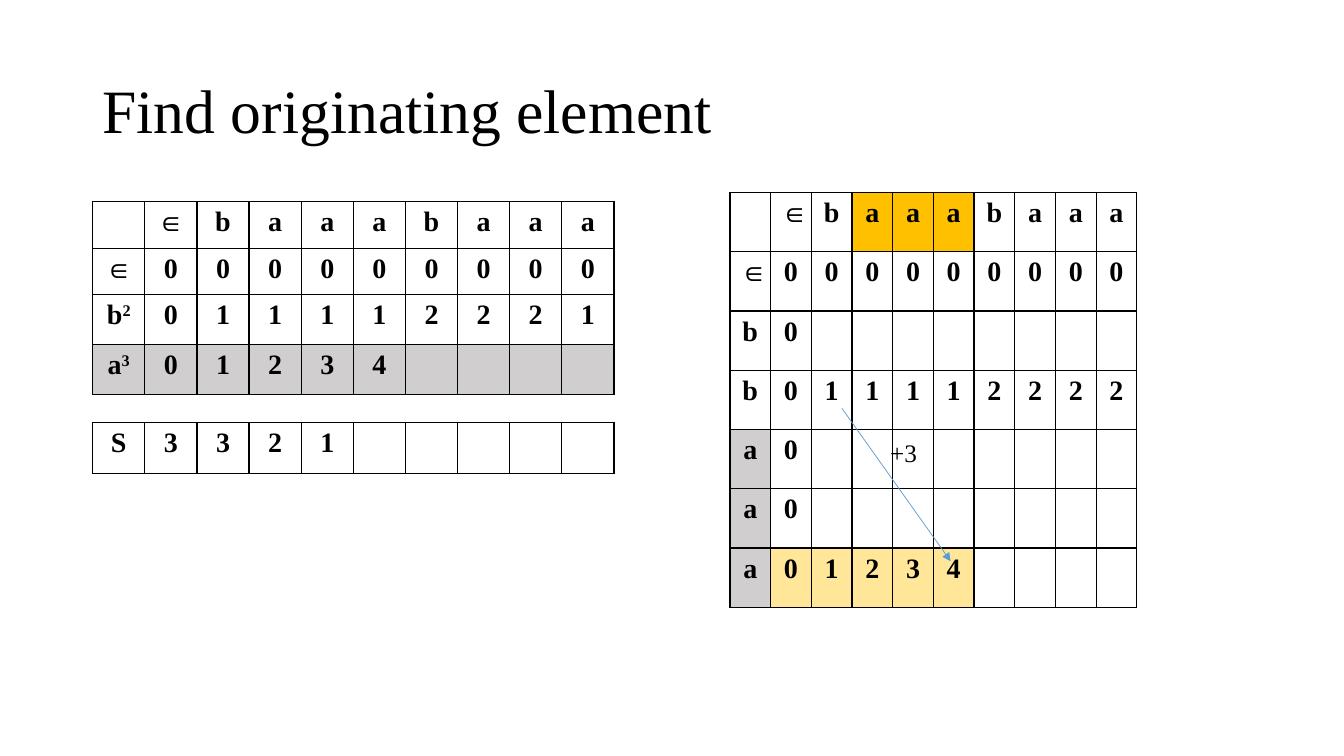
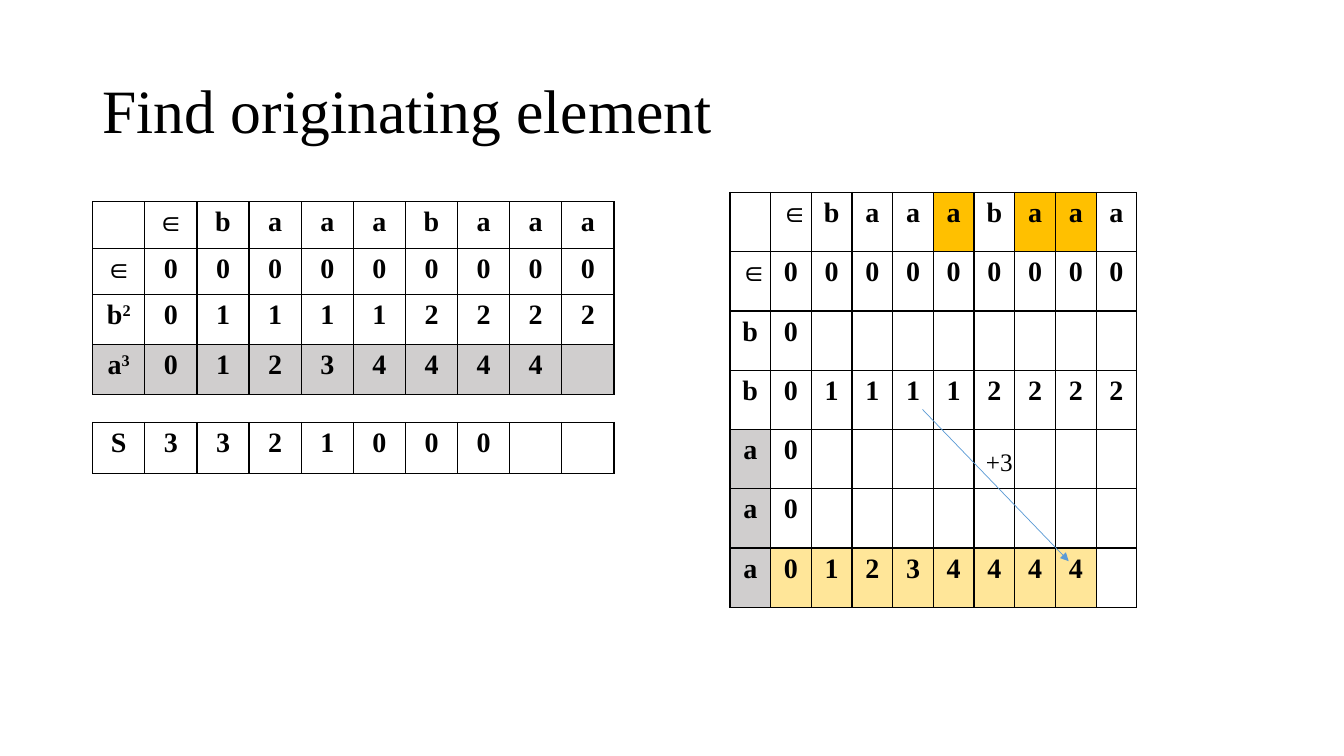
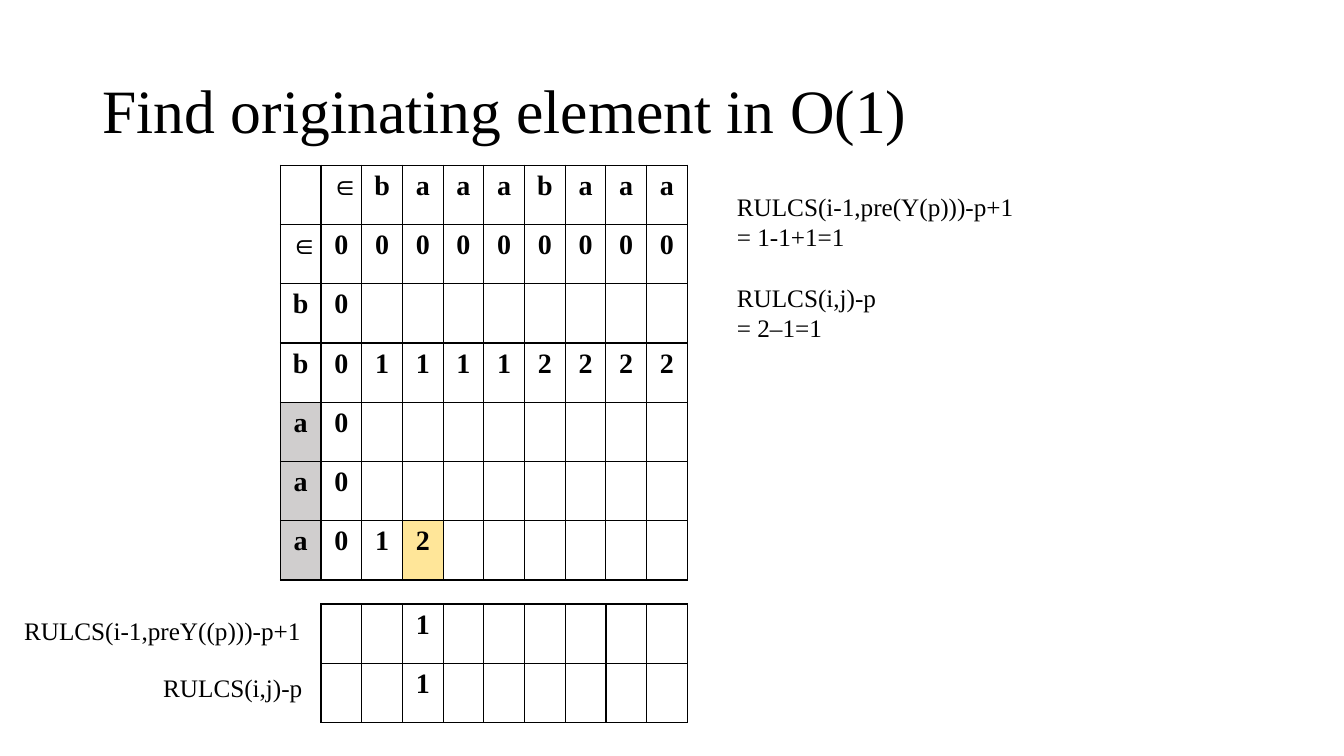
from dataclasses import dataclass
from itertools import product
from typing import Iterable

from lxml.etree import SubElement
from pptx import Presentation
from pptx.dml.color import RGBColor
from pptx.enum.shapes import MSO_CONNECTOR
from pptx.enum.text import MSO_ANCHOR, PP_ALIGN
from pptx.oxml import parse_xml
from pptx.oxml.ns import nsdecls, qn
from pptx.util import Inches, Pt

COLORS = {"ink": "000000", "grey": "D0CECE", "gold": "FFC000",
          "cream": "FFE699", "arrow": "5B9BD5"}
FONT = "Times New Roman"
WIDTH, HEIGHT = Inches(13.33), Inches(7.5)
SUPERSCRIPT_EXTRA = 0.4  # added row height, in percent of the slide

Fills = dict[tuple[int, int], str]


@dataclass(frozen=True)
class Grid:
    """Origin and cell size, in percent of the slide's width and height."""
    x: float
    y: float
    col: float
    row: float
    cols: int = 10

    def at(self, col: float, row: float) -> tuple[float, float]:
        return self.x + col * self.col, self.y + row * self.row


@dataclass(frozen=True)
class Step:
    b_run: str
    a_run: str
    shifts: str
    last: str
    gold_cols: tuple[int, ...]
    start: tuple[float, float]
    end: tuple[float, float]
    label: tuple[float, float]


RUNS = Grid(6.9, 26.67, 3.88, 6.17)
SHIFTS = Grid(6.9, 55.87, 3.88, 6.8)
LCS = Grid(54.31, 25.47, 3.03, 7.84)
LCS_O1 = Grid(20.86, 21.87, 3.03, 7.84)
RESULT = Grid(*LCS_O1.at(1, 7.4), LCS_O1.col, LCS_O1.row, 9)

HEADER = "_ ∈ b a a a b a a a"
ZEROS = "∈ 0 0 0 0 0 0 0 0 0"
STEPS = [
    Step("b2 0 1 1 1 1 2 2 2 1", "a3 0 1 2 3 4", "S 3 3 2 1", "a 0 1 2 3 4",
         (3, 4, 5), (2.75, 3.64), (5.42, 6.22), (3.69, 4.05)),
    Step("b2 0 1 1 1 1 2 2 2 2", "a3 0 1 2 3 4 4 4 4", "S 3 3 2 1 0 0 0",
         "a 0 1 2 3 4 4 4 4", (5, 7, 8), (4.73, 3.66), (8.32, 6.22), (6.04, 4.2)),
]


def px(share: float) -> int:
    return round(WIDTH * share / 100)


def py(share: float) -> int:
    return round(HEIGHT * share / 100)


def rgb(name: str) -> RGBColor:
    return RGBColor.from_string(COLORS[name])


def area(color: str, rows: Iterable[int], cols: Iterable[int]) -> Fills:
    return {pos: color for pos in product(rows, cols)}


def add_run(p, text: str, *, size: float = 18, bold: bool = False,
            superscript: bool = False) -> None:
    r = p.add_run()
    r.text = text
    r.font.name, r.font.size, r.font.bold = FONT, Pt(size), bold
    r.font.color.rgb = rgb("ink")
    if superscript:
        r._r.get_or_add_rPr().set("baseline", "30000")


def add_text(s, pos: tuple[float, float], extent: tuple[float, float],
             paragraphs: list[str], *, gap_before: tuple[int, ...] = (),
             anchor=MSO_ANCHOR.TOP, spacing: float = 1, **fmt) -> None:
    sp = s.shapes.add_textbox(px(pos[0]), py(pos[1]), px(extent[0]), py(extent[1]))
    tf = sp.text_frame
    tf.word_wrap, tf.vertical_anchor = True, anchor
    for i, text in enumerate(paragraphs):
        p = tf.paragraphs[0] if i == 0 else tf.add_paragraph()
        p.line_spacing = spacing
        if i in gap_before:
            p.space_before = Pt(21.6)
        add_run(p, text, **fmt)


def style_cell(cell, fill: str | None) -> None:
    if fill:
        cell.fill.solid()
        cell.fill.fore_color.rgb = rgb(fill)
    else:
        cell.fill.background()
    tc_pr = cell._tc.get_or_add_tcPr()
    for i, side in enumerate("LRTB"):
        tc_pr.insert(i, parse_xml(
            f'<a:ln{side} {nsdecls("a")} w="{Pt(1)}"><a:solidFill>'
            f'<a:srgbClr val="{COLORS["ink"]}"/></a:solidFill></a:ln{side}>'))


def add_grid_table(s, grid: Grid, lines: list[str], fills: Fills) -> None:
    """Draw token lines; "_" is an empty cell, a second letter is raised."""
    rows = [line.split() for line in lines]
    heights = [grid.row + SUPERSCRIPT_EXTRA * any(len(t) > 1 for t in row)
               for row in rows]
    table = s.shapes.add_table(len(rows), grid.cols, px(grid.x), py(grid.y),
                               px(grid.col * grid.cols), py(sum(heights))).table
    table.first_row = table.horz_banding = False
    for column in table.columns:
        column.width = px(grid.col)
    for i, (row, height) in enumerate(zip(rows, heights)):
        table.rows[i].height = py(height)
        for j in range(grid.cols):
            cell = table.cell(i, j)
            style_cell(cell, fills.get((i, j)))
            if j < len(row) and row[j] != "_":
                p = cell.text_frame.paragraphs[0]
                p.alignment = PP_ALIGN.CENTER
                for k, letter in enumerate(row[j]):
                    add_run(p, letter, size=20, bold=True, superscript=k > 0)


def add_lcs(s, grid: Grid, last: str, fills: Fills) -> None:
    lines = [HEADER, ZEROS, "b 0", "b 0 1 1 1 1 2 2 2 2", "a 0", "a 0", last]
    add_grid_table(s, grid, lines, area("grey", range(4, 7), [0]) | fills)


def add_arrow(s, start: tuple[float, float], end: tuple[float, float]) -> None:
    arrow = s.shapes.add_connector(MSO_CONNECTOR.STRAIGHT, px(start[0]), py(start[1]),
                                   px(end[0]), py(end[1]))
    arrow.line.color.rgb, arrow.line.width = rgb("arrow"), Pt(0.5)
    sp_pr = arrow._element.spPr
    SubElement(sp_pr.get_or_add_ln(), qn("a:tailEnd"), type="triangle")
    SubElement(sp_pr, qn("a:effectLst"))


def add_slide(prs, title: str):
    s = prs.slides.add_slide(prs.slide_layouts[6])
    add_text(s, (6.9, 5.33), (86.25, 19.33), [title], size=44,
             anchor=MSO_ANCHOR.MIDDLE, spacing=0.9)
    return s


def add_step(prs, step: Step) -> None:
    s = add_slide(prs, "Find originating element")
    add_grid_table(s, RUNS, [HEADER, ZEROS, step.b_run, step.a_run],
                   area("grey", [3], range(RUNS.cols)))
    add_grid_table(s, SHIFTS, [step.shifts], {})
    filled = len(step.last.split())
    add_lcs(s, LCS, step.last,
            area("gold", [0], step.gold_cols) | area("cream", [6], range(1, filled)))
    add_arrow(s, LCS.at(*step.start), LCS.at(*step.end))
    add_text(s, LCS.at(*step.label), (5.1, 5.33), ["+3"])


def add_constant_time(prs) -> None:
    s = add_slide(prs, "Find originating element in O(1)")
    add_lcs(s, LCS_O1, "a 0 1 2", {(6, 3): "cream"})
    add_grid_table(s, RESULT, ["_ _ 1", "_ _ 1"], {})
    add_text(s, (54.09, 24.67), (24, 20),
             ["RULCS(i-1,pre(Y(p)))-p+1", "= 1-1+1=1", "RULCS(i,j)-p", "= 2–1=1"],
             gap_before=(2,))
    add_text(s, (11.4, 88.27), (12.45, 5.33), ["RULCS(i,j)-p"])
    add_text(s, (1.05, 80.8), (22.8, 5.33), ["RULCS(i-1,preY((p)))-p+1"])


def main() -> None:
    prs = Presentation()
    prs.slide_width, prs.slide_height = WIDTH, HEIGHT
    for step in STEPS:
        add_step(prs, step)
    add_constant_time(prs)
    prs.save("out.pptx")


if __name__ == "__main__":
    main()
